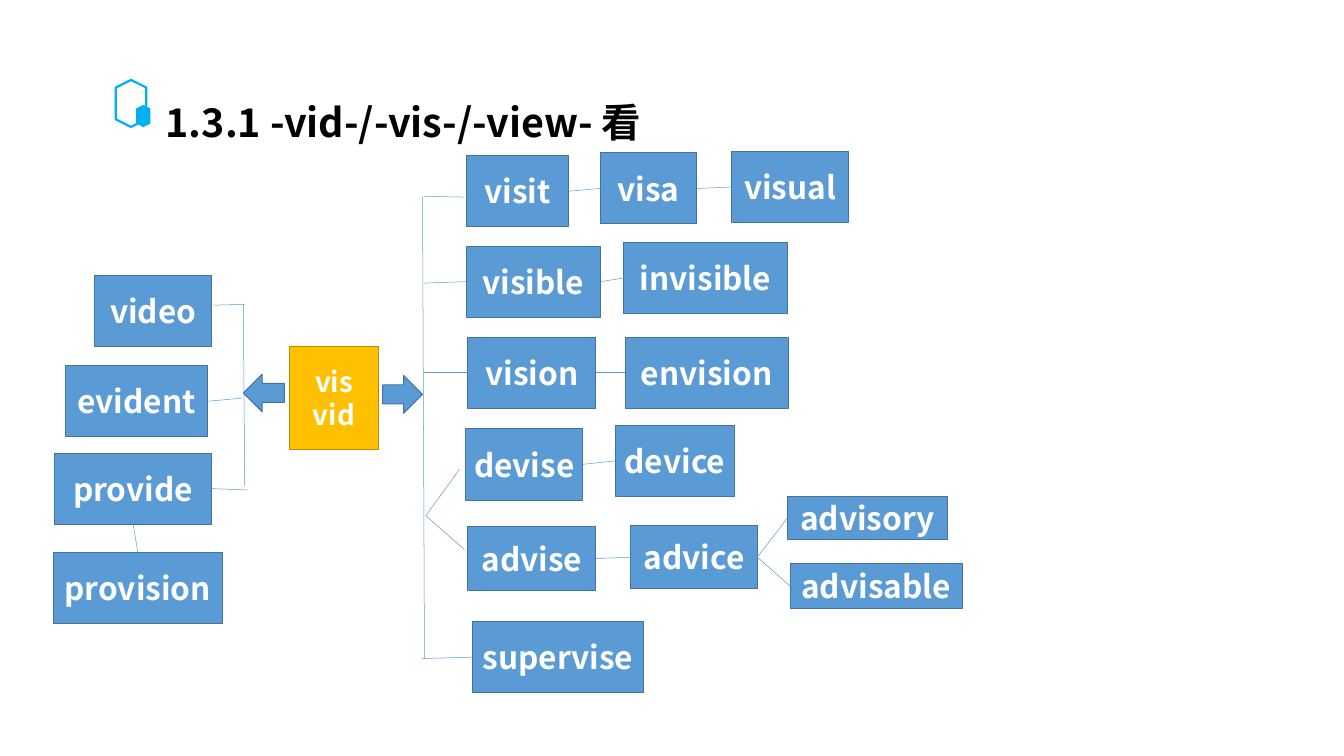
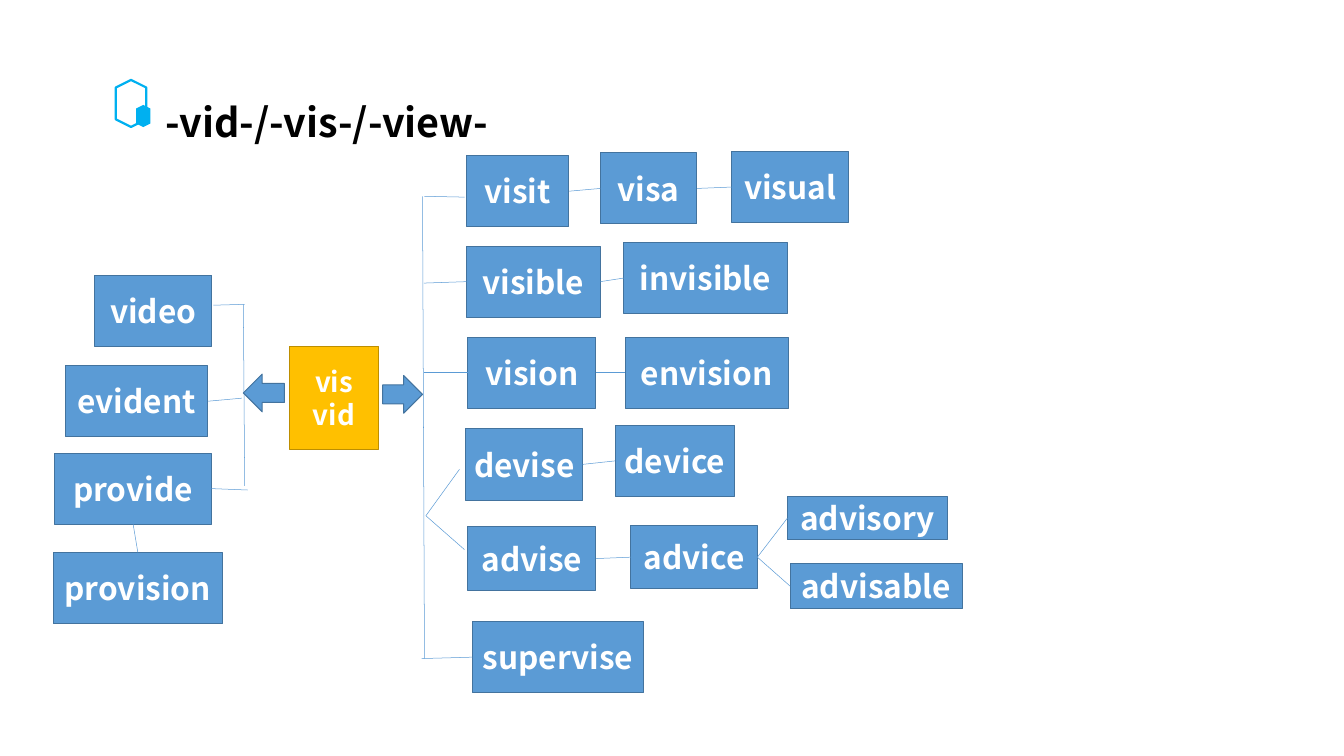
from lxml.etree import SubElement
from pptx import Presentation
from pptx.dml.color import RGBColor
from pptx.enum.shapes import MSO_CONNECTOR, MSO_SHAPE
from pptx.enum.text import MSO_ANCHOR, MSO_AUTO_SIZE, PP_ALIGN
from pptx.oxml.ns import qn
from pptx.util import Cm, Pt

FONT = "Noto Sans CJK SC"
BLUE, DARK_BLUE = "5B9BD5", "43739E"
AMBER, DARK_AMBER = "FFC000", "BD8E00"
CYAN, WHITE, BLACK = "00B0F0", "FFFFFF", "000000"
TOP, LEFT, BOTTOM, RIGHT = range(4)

TITLES = [("1.3.1 -vid-/-vis-/-view- 看", 18.75), ("-vid-/-vis-/-view-", 13.46)]

WORDS = {
    "video": (3.38, 9.83, 4.19, 2.54),
    "evident": (2.34, 13.06, 5.08, 2.54),
    "provide": (1.96, 16.18, 5.59, 2.54),
    "provision": (1.9, 19.74, 6.05, 2.54),
    "visit": (16.66, 5.56, 3.66, 2.54),
    "visa": (21.44, 5.46, 3.45, 2.54),
    "visual": (26.14, 5.41, 4.17, 2.54),
    "visible": (16.66, 8.79, 4.78, 2.54),
    "invisible": (22.28, 8.66, 5.84, 2.54),
    "vision": (16.71, 12.04, 4.57, 2.54),
    "envision": (22.33, 12.04, 5.82, 2.54),
    "devise": (16.64, 15.29, 4.17, 2.59),
    "device": (21.97, 15.19, 4.27, 2.54),
    "advise": (16.71, 18.82, 4.57, 2.26),
    "advice": (22.53, 18.77, 4.52, 2.26),
    "advisory": (28.12, 17.73, 5.72, 1.55),
    "advisable": (28.22, 20.12, 6.15, 1.63),
    "supervise": (16.87, 22.2, 6.12, 2.54),
}

BOXES = [
    (MSO_SHAPE.RECTANGLE, word, box, BLUE, DARK_BLUE, 32) for word, box in WORDS.items()
] + [
    (MSO_SHAPE.RECTANGLE, "vis\nvid", (10.34, 12.37, 3.18, 3.68), AMBER, DARK_AMBER, 28),
    (MSO_SHAPE.LEFT_ARROW, "", (8.69, 13.36, 1.47, 1.35), BLUE, DARK_BLUE, 28),
    (MSO_SHAPE.RIGHT_ARROW, "", (13.67, 13.41, 1.42, 1.35), BLUE, DARK_BLUE, 28),
]

HEXAGONS = [((3.84, 3.15, 1.68, 1.09), False), ((4.72, 3.89, 0.79, 0.51), True)]

DERIVATIONS = [
    ("visit", RIGHT, "visa", LEFT),
    ("visa", RIGHT, "visual", LEFT),
    ("visible", RIGHT, "invisible", LEFT),
    ("vision", RIGHT, "envision", LEFT),
    ("devise", RIGHT, "device", LEFT),
    ("advise", RIGHT, "advice", LEFT),
    ("advice", RIGHT, "advisory", LEFT),
    ("advice", RIGHT, "advisable", LEFT),
    ("provide", BOTTOM, "provision", TOP),
]

STUBS = [
    (8.64, 14.22, "evident", RIGHT),
    (8.84, 17.5, "provide", RIGHT),
    (15.14, 10.11, "visible", LEFT),
    (15.16, 13.31, "vision", LEFT),
    (15.06, 23.52, "supervise", LEFT),
]

TRUNKS_AND_BRANCHES = [
    (15.09, 7.01, 15.16, 23.52),
    (8.69, 10.87, 8.74, 17.35),
    (7.62, 10.9, 8.74, 10.87),
    (15.16, 7.01, 16.59, 7.04),
    (15.21, 18.42, 16.59, 19.63),
    (15.21, 18.42, 16.41, 16.76),
]


def color(hex_value):
    return RGBColor.from_string(hex_value)


def add_line(slide, *ends):
    line = slide.shapes.add_connector(MSO_CONNECTOR.STRAIGHT, *map(Cm, ends))
    line.line.color.rgb = color(BLUE)
    line.line.width = Pt(0.5)
    SubElement(line._element.spPr, qn("a:effectLst"))
    return line


presentation = Presentation()
presentation.slide_width = Cm(48)
presentation.slide_height = Cm(27)

for title_text, title_width in TITLES:
    slide = presentation.slides.add_slide(presentation.slide_layouts[5])

    title = slide.shapes.title
    title.left, title.top, title.width, title.height = map(Cm, (5.66, 3.35, title_width, 1.96))
    frame = title.text_frame
    frame.text = title_text
    frame.word_wrap = False
    frame.auto_size = MSO_AUTO_SIZE.NONE
    frame.vertical_anchor = MSO_ANCHOR.MIDDLE
    paragraph = frame.paragraphs[0]
    paragraph.alignment = PP_ALIGN.LEFT
    paragraph.font.size = Pt(40)
    paragraph.font.bold = True
    paragraph.font.color.rgb = color(BLACK)
    paragraph.font.name = FONT
    SubElement(paragraph._p.pPr.find(qn("a:defRPr")), qn("a:ea"), typeface=FONT)

    for box, filled in HEXAGONS:
        hexagon = slide.shapes.add_shape(MSO_SHAPE.HEXAGON, *map(Cm, box))
        hexagon.rotation = 90
        hexagon.shadow.inherit = False
        if filled:
            hexagon.fill.solid()
            hexagon.fill.fore_color.rgb = color(CYAN)
            hexagon.line.fill.background()
        else:
            hexagon.fill.background()
            hexagon.line.color.rgb = color(CYAN)
            hexagon.line.width = Pt(2.25)

    for ends in TRUNKS_AND_BRANCHES:
        add_line(slide, *ends)

    shapes = {}
    for kind, text, box, fill, outline, size in BOXES:
        shape = slide.shapes.add_shape(kind, *map(Cm, box))
        shape.shadow.inherit = False
        shape.fill.solid()
        shape.fill.fore_color.rgb = color(fill)
        shape.line.color.rgb = color(outline)
        shape.line.width = Pt(1)
        if text:
            shapes[text] = shape
            shape.text_frame.text = text
            shape.text_frame.word_wrap = False
            shape.text_frame.vertical_anchor = MSO_ANCHOR.MIDDLE
            for paragraph in shape.text_frame.paragraphs:
                paragraph.alignment = PP_ALIGN.CENTER
                paragraph.font.size = Pt(size)
                paragraph.font.bold = True
                paragraph.font.color.rgb = color(WHITE)
                paragraph.font.name = FONT

    for source, source_side, target, target_side in DERIVATIONS:
        line = add_line(slide, 0, 0, 0, 0)
        line.begin_connect(shapes[source], source_side)
        line.end_connect(shapes[target], target_side)

    for x, y, word, side in STUBS:
        line = add_line(slide, x, y, x, y)
        line.end_connect(shapes[word], side)

presentation.save("out.pptx")
